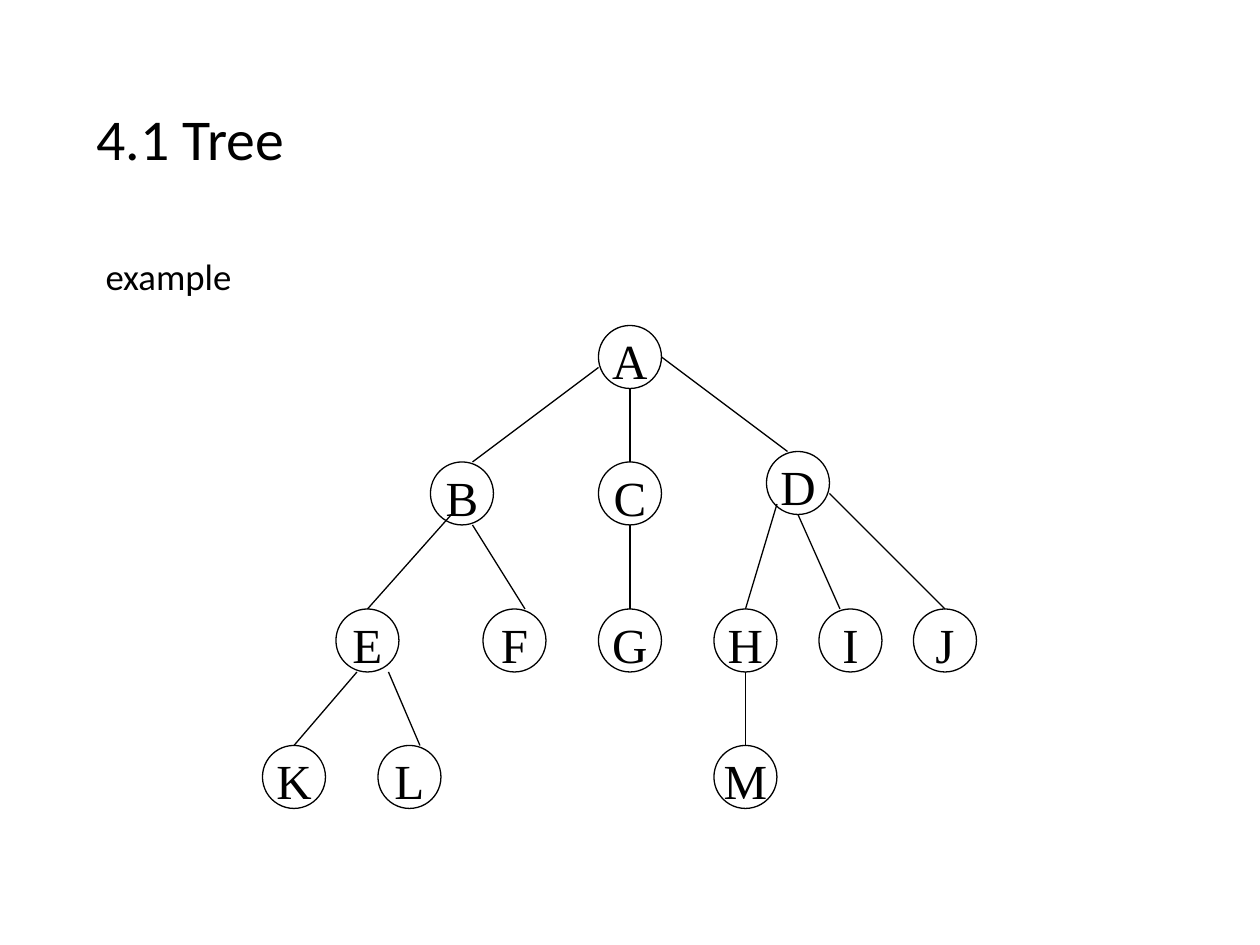
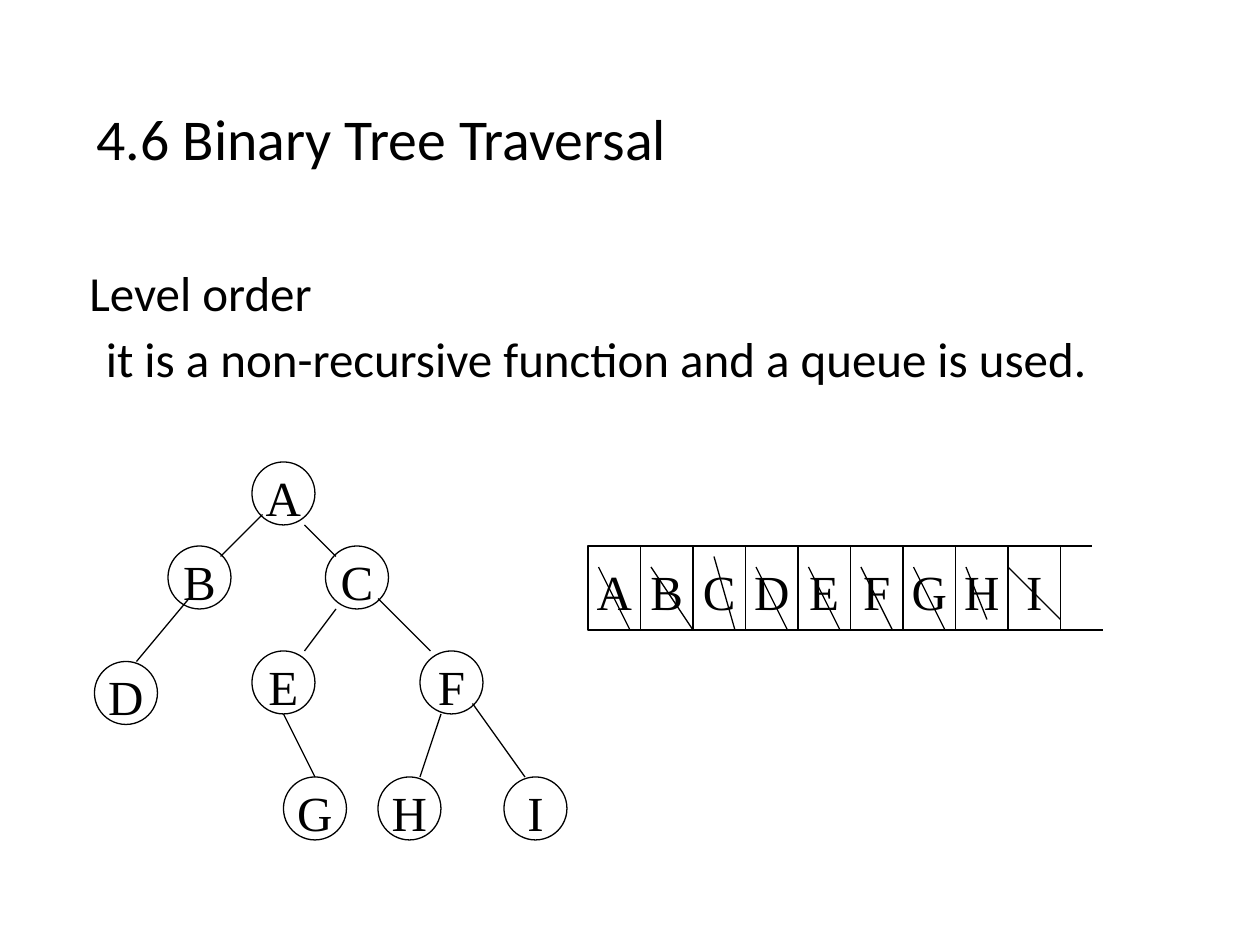
"""Build two slides on trees: a general tree and a level-order traversal with its queue."""
from lxml import etree
from pptx import Presentation, util as u
from pptx.dml.color import RGBColor
from pptx.enum import shapes, text
from pptx.oxml import ns

COLORS = {"ink": "000000", "paper": "FFFFFF"}
COLS, ROWS = 120, 90
NODE, CELL_W, CELL_H = 6, 5, 8
QUEUE_X, QUEUE_Y = 56, 52
INK = RGBColor.from_string(COLORS["ink"])

TITLE = {"name": "Calibri", "size": u.Pt(33), "bold": False}
NOTE = {"name": "Calibri", "size": u.Pt(21)}
BODY = {"name": "Calibri", "size": u.Pt(28)}
LABEL = {"name": "Times New Roman", "size": u.Pt(28)}
TITLE_BOX = (8.25, 4.8, 103.5, 17.4)

SLIDES = [
    {
        "title": "4.1 Tree",
        "body_box": (8.25, 24, 103.5, 57),
        "body": [("example", 0.07)],
        "font": NOTE,
        "nodes": {
            "A": (57, 31), "B": (41, 44), "C": (57, 44), "D": (73, 43),
            "E": (32, 58), "F": (46, 58), "G": (57, 58), "H": (68, 58),
            "I": (78, 58), "J": (87, 58),
            "K": (25, 71), "L": (36, 71), "M": (68, 71),
        },
        "edges": [
            (57, 35, 45, 44), (60, 37, 60, 44), (63, 34, 75, 43),
            (43, 49, 35, 58), (45, 50, 50, 58), (60, 50, 60, 58),
            (74, 48, 71, 58), (76, 49, 80, 58), (79, 47, 90, 58),
            (34, 64, 28, 71), (37, 64, 40, 71), (71, 64, 71, 71),
        ],
        "queue": "",
        "strikes": [],
    },
    {
        "title": "4.6 Binary Tree Traversal",
        "body_box": (6, 25, 105, 61),
        "body": [
            ("Level order", 0.13),
            ("it is a non-recursive function and a queue is used.", 0.26),
        ],
        "font": BODY,
        "nodes": {
            "A": (24, 44), "B": (16, 52), "C": (31, 52),
            "D": (9, 63), "E": (24, 62), "F": (40, 62),
            "G": (27, 74), "H": (36, 74), "I": (48, 74),
        },
        "edges": [
            (25, 49, 21, 53), (18, 57, 13, 63), (29, 50, 32, 53),
            (32, 58, 29, 62), (36, 57, 41, 62), (27, 68, 30, 74),
            (42, 68, 40, 74), (45, 67, 50, 74),
            (QUEUE_X, QUEUE_Y, 104, QUEUE_Y),
            (QUEUE_X, QUEUE_Y + CELL_H, 105, QUEUE_Y + CELL_H),
        ],
        "queue": "ABCDEFGHI",
        "strikes": [
            (1, 2, 4, 8), (1, 2, 5, 8), (2, 1, 4, 8),
            (1, 2, 4, 8), (1, 2, 4, 8), (1, 2, 4, 8),
            (1, 2, 4, 8), (1, 2, 3, 7), (0, 2, 5, 7),
        ],
    },
]

prs = Presentation()
prs.slide_width, prs.slide_height = u.Inches(10), u.Inches(7.5)


def grid(x, y, w, h):
    """Turn columns and rows into lengths on the slide."""
    dx, dy = prs.slide_width / COLS, prs.slide_height / ROWS
    return [round(v) for v in (x * dx, y * dy, w * dx, h * dy)]


def write(p, words, font, align):
    """Write one formatted paragraph."""
    p.alignment = align
    p.space_before = u.Pt(0)
    r = p.add_run()
    r.text = words
    for key, value in font.items():
        setattr(r.font, key, value)
    r.font.color.rgb = INK


for data in SLIDES:
    s = prs.slides.add_slide(prs.slide_layouts[1])
    s.background.fill.solid()
    s.background.fill.fore_color.rgb = RGBColor.from_string(COLORS["paper"])

    title, body = s.placeholders
    for sp, box, anchor in (
        (title, TITLE_BOX, text.MSO_ANCHOR.MIDDLE),
        (body, data["body_box"], text.MSO_ANCHOR.TOP),
    ):
        sp.left, sp.top, sp.width, sp.height = grid(*box)
        tf = sp.text_frame
        tf.auto_size = text.MSO_AUTO_SIZE.NONE
        tf.vertical_anchor = anchor
        tf.margin_left = tf.margin_right = u.Inches(0.08)

    p = title.text_frame.paragraphs[0]
    write(p, data["title"], TITLE, text.PP_ALIGN.LEFT)
    p.line_spacing = 0.9

    tf = body.text_frame
    for i, (words, indent) in enumerate(data["body"]):
        p = tf.add_paragraph() if i else tf.paragraphs[0]
        pPr = p._p.get_or_add_pPr()
        pPr.set("marL", str(u.Inches(indent)))
        pPr.set("indent", "0")
        etree.SubElement(pPr, ns.qn("a:buNone"))
        write(p, words, data["font"], text.PP_ALIGN.LEFT)
        p.line_spacing = 0.9
        if i:
            p.space_before = u.Pt(7.5)

    oval, rect = shapes.MSO_SHAPE.OVAL, shapes.MSO_SHAPE.RECTANGLE
    labelled = [(oval, name, (x, y, NODE, NODE)) for name, (x, y) in data["nodes"].items()]
    lines = list(data["edges"])
    for i, name in enumerate(data["queue"]):
        x = QUEUE_X + i * CELL_W
        labelled.append((rect, name, (x, QUEUE_Y, CELL_W, CELL_H)))
        x1, y1, x2, y2 = data["strikes"][i]
        lines.append((x + x1, QUEUE_Y + y1, x + x2, QUEUE_Y + y2))

    for kind, name, box in labelled:
        sp = s.shapes.add_shape(kind, *grid(*box))
        sp.shadow.inherit = False
        sp.fill.background()
        sp.line.color.rgb = INK
        sp.line.width = u.Pt(0.75)
        tf = sp.text_frame
        tf.word_wrap = False
        tf.vertical_anchor = text.MSO_ANCHOR.MIDDLE
        tf.margin_top = u.Inches(0.1)
        write(tf.paragraphs[0], name, LABEL, text.PP_ALIGN.CENTER)

    for ends in lines:
        line = s.shapes.add_connector(shapes.MSO_CONNECTOR.STRAIGHT, *grid(*ends))
        line.line.color.rgb = INK
        line.line.width = u.Pt(0.75)
        etree.SubElement(line._element.spPr, ns.qn("a:effectLst"))

prs.save("out.pptx")
